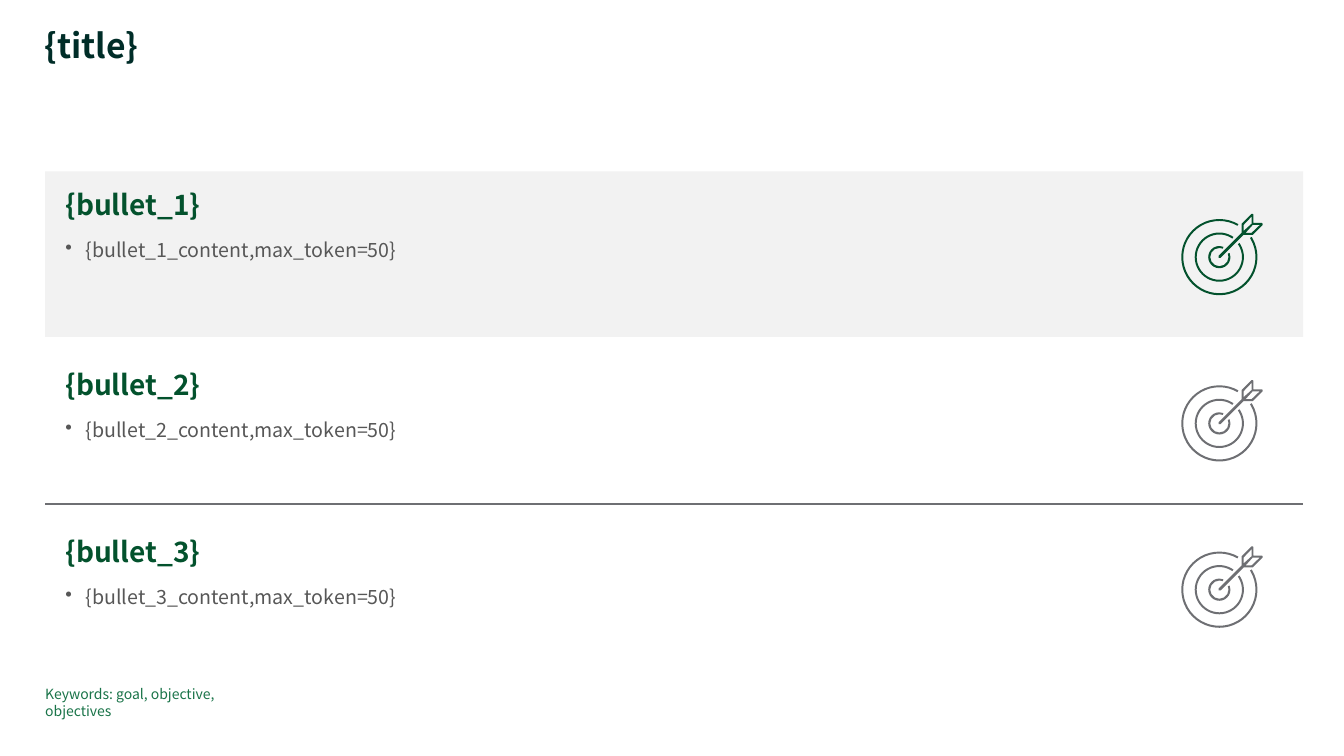
from dataclasses import dataclass

from lxml import etree
from pptx import Presentation, util as u
from pptx.dml.color import RGBColor
from pptx.enum import shapes, text
from pptx.oxml.ns import qn


@dataclass(frozen=True)
class Theme:
    font: str = "Noto Sans CJK JP"
    title: str = "002D28"
    heading: str = "03522D"
    body: str = "575757"
    muted: str = "6E6F73"
    keywords: str = "1A7449"
    band: str = "F2F2F2"
    title_size: int = 24
    heading_size: int = 20
    body_size: int = 14
    keywords_size: int = 10


@dataclass(frozen=True)
class Goal:
    heading: str
    content: str
    top: float
    height: float
    highlighted: bool = False


@dataclass(frozen=True)
class Ring:
    """Target ring: radius in cm, start and end angle in degrees (clockwise)."""
    radius: float
    start: int
    end: int


THEME = Theme()
LEFT, WIDTH = 1.14, 31.7
TARGET_X, TARGET_Y, TARGET_STEP = 30.73, 6.48, 4.19
RING_THICKNESS = 0.05
GOALS = (
    Goal("{bullet_1}", "{bullet_1_content,max_token=50}", 4.32, 4.17, True),
    Goal("{bullet_2}", "{bullet_2_content,max_token=50}", 8.86, 3.48),
    Goal("{bullet_3}", "{bullet_3_content,max_token=50}", 13.06, 3.48),
)
RINGS = (Ring(0.96, 328, 300), Ring(0.62, 325, 305), Ring(0.28, 338, 292))
# Lower half of the arrow, from the notch to the tip, in cm from the ring centre
ARROW_HALF = [(0.86, -0.86), (1.07, -0.86), (1.09, -0.84), (1.09, -0.81),
              (0.86, -0.58), (0.84, -0.56), (0.61, -0.56), (0.03, 0.02), (-0.02, 0.02)]
FEATHER = [(0.81, -0.61), (1.02, -0.81), (0.84, -0.81), (0.66, -0.61)]


def rgb(value: str) -> RGBColor:
    return RGBColor.from_string(value)


def paint(shape, color: str) -> None:
    shape.shadow.inherit = False
    shape.fill.solid()
    shape.fill.fore_color.rgb = rgb(color)
    shape.line.fill.background()


def style(paragraph, size: int, color: str, bold: bool = False) -> None:
    font = paragraph.font
    font.name, font.size, font.bold = THEME.font, u.Pt(size), bold
    font.color.rgb = rgb(color)


def set_frame(frame, left: float = 0, vertical: float = 0) -> None:
    frame.word_wrap = True
    frame.margin_left, frame.margin_right = u.Cm(left), 0
    frame.margin_top = frame.margin_bottom = u.Cm(vertical)
    frame.vertical_anchor = text.MSO_ANCHOR.TOP


def add_label(slide, box: tuple, words: str, size: int, color: str, bold: bool = False):
    frame = slide.shapes.add_textbox(*map(u.Cm, box)).text_frame
    set_frame(frame)
    label = frame.paragraphs[0]
    label.text = words
    style(label, size, color, bold)
    return frame


def add_goal(slide, goal: Goal) -> None:
    box = [u.Cm(n) for n in (LEFT, goal.top, WIDTH, goal.height)]
    if goal.highlighted:
        panel = slide.shapes.add_shape(shapes.MSO_SHAPE.RECTANGLE, *box)
        paint(panel, THEME.band)
    else:
        panel = slide.shapes.add_textbox(*box)
    frame = panel.text_frame
    set_frame(frame, 0.51, 0.41)

    heading = frame.paragraphs[0]
    heading.text = goal.heading
    heading.alignment = text.PP_ALIGN.LEFT
    heading.space_after = u.Pt(6)
    style(heading, THEME.heading_size, THEME.heading, True)

    content = frame.add_paragraph()
    content.text = goal.content
    content.alignment = text.PP_ALIGN.LEFT
    content.space_before = u.Pt(6)
    properties = content._p.get_or_add_pPr()
    properties.set("marL", str(u.Cm(0.51)))
    properties.set("indent", str(-u.Cm(0.51)))
    etree.SubElement(properties, qn("a:buChar")).set("char", "•")
    style(content, THEME.body_size, THEME.body)


def mirrored(points: list) -> list[tuple[float, float]]:
    """Reflect points across the arrow's shaft."""
    return [(-y, -x) for x, y in reversed(points)]


def add_ring(group, ring: Ring, center_y: float, color: str) -> None:
    size = 2 * ring.radius
    band = group.shapes.add_shape(
        shapes.MSO_SHAPE.BLOCK_ARC, u.Cm(TARGET_X - ring.radius),
        u.Cm(center_y - ring.radius), u.Cm(size), u.Cm(size))
    # Angles are stored in 60000ths of a degree, adjustments in 100000ths
    band.adjustments[0] = ring.start * 0.6
    band.adjustments[1] = ring.end * 0.6
    band.adjustments[2] = RING_THICKNESS / size
    paint(band, color)


def add_arrow(group, center_y: float, color: str) -> None:
    outline = ARROW_HALF + mirrored(ARROW_HALF)[1:-1]
    contours = [[(x * 1000, y * 1000) for x, y in contour]
                for contour in (outline, FEATHER, mirrored(FEATHER))]
    builder = group.shapes.build_freeform(*contours[0][0], scale=u.Cm(0.001))
    for index, contour in enumerate(contours):
        if index:
            builder.move_to(*contour[0])
        builder.add_line_segments(contour[1:], close=True)
    paint(builder.convert_to_shape(u.Cm(TARGET_X), u.Cm(center_y)), color)


def add_target(slide, center_y: float, color: str) -> None:
    group = slide.shapes.add_group_shape()
    for ring in RINGS:
        add_ring(group, ring, center_y, color)
    add_arrow(group, center_y, color)


def add_divider(slide, y: float) -> None:
    divider = slide.shapes.add_connector(
        shapes.MSO_CONNECTOR.STRAIGHT, u.Cm(LEFT), u.Cm(y), u.Cm(LEFT + WIDTH), u.Cm(y))
    divider.line.color.rgb = rgb(THEME.muted)
    divider.line.width = u.Pt(0.75)
    etree.SubElement(divider._element.spPr, qn("a:effectLst"))


def main() -> None:
    deck = Presentation()
    deck.slide_width, deck.slide_height = u.Cm(33.87), u.Cm(19.05)
    slide = deck.slides.add_slide(deck.slide_layouts[6])

    # Title
    title = add_label(slide, (1.12, 0.71, 28.02, 0.94), "{title}",
                      THEME.title_size, THEME.title, True)
    title.vertical_anchor = text.MSO_ANCHOR.BOTTOM
    title.paragraphs[0].line_spacing = 0.9

    # Goals with their targets
    add_divider(slide, 12.7)
    for goal in GOALS:
        add_goal(slide, goal)
    for row, goal in enumerate(GOALS):
        color = THEME.heading if goal.highlighted else THEME.muted
        add_target(slide, TARGET_Y + row * TARGET_STEP, color)

    # Keywords
    add_label(slide, (LEFT, 17.27, 5.79, 0.43), "Keywords: goal, objective, objectives",
              THEME.keywords_size, THEME.keywords)

    deck.save("out.pptx")


if __name__ == "__main__":
    main()
